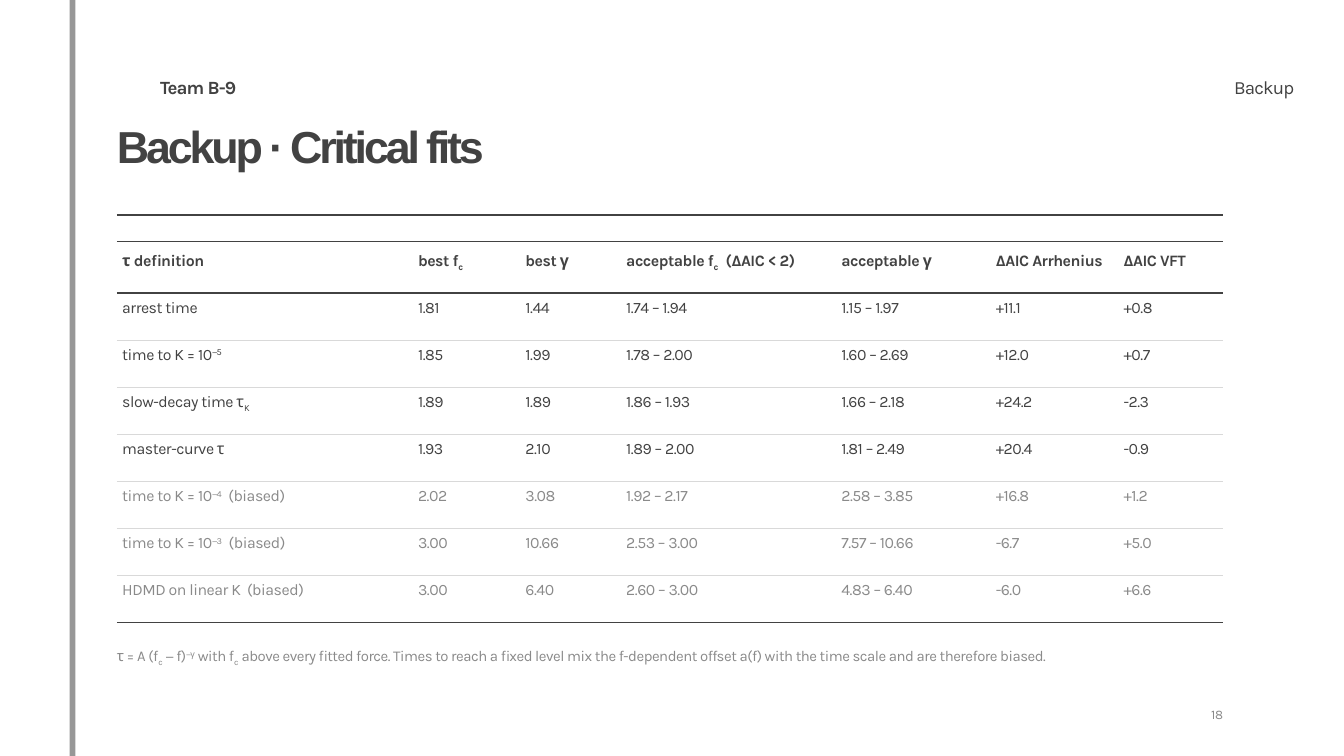
from itertools import accumulate

from lxml.etree import SubElement
from pptx import Presentation
from pptx.dml.color import RGBColor
from pptx.enum.shapes import MSO_CONNECTOR
from pptx.enum.text import MSO_ANCHOR, MSO_AUTO_SIZE, PP_ALIGN
from pptx.oxml.ns import qn
from pptx.util import Cm, Pt

INK = RGBColor(0x42, 0x42, 0x42)
MUTED = RGBColor(0x8A, 0x8A, 0x8A)
HAIRLINE = RGBColor(0xD9, 0xD9, 0xD9)

LEFT = 4.42
TABLE_TOP = 9.14
BASELINES = {"_": "-25000", "^": "30000"}

RUNNING = {"name": "Karla", "size": Pt(20), "bold": False, "color": INK, "tracking": -90}
TEAM = RUNNING | {"bold": True}
TITLE = {"name": "Arial", "size": Pt(48), "bold": True, "color": INK, "tracking": -336}
CELL = {"name": "Karla", "size": Pt(17), "bold": False, "color": INK, "tracking": -51}
HEADER = CELL | {"bold": True}
BIASED = CELL | {"color": MUTED}
NOTE = BIASED | {"size": Pt(16), "tracking": -48}
NUMBER = BIASED | {"size": Pt(14), "tracking": -42}

COLUMN_WIDTHS = [11.18, 4.06, 3.81, 8.13, 5.84, 4.83, 3.94]
HEADINGS = ["τ definition", "best f|_c", "best γ", "acceptable f|_c|  (ΔAIC < 2)",
            "acceptable γ", "ΔAIC Arrhenius", "ΔAIC VFT"]
SOUND_FITS = [
    ["arrest time", "1.81", "1.44", "1.74 – 1.94", "1.15 – 1.97", "+11.1", "+0.8"],
    ["time to K = 10|^−5", "1.85", "1.99", "1.78 – 2.00", "1.60 – 2.69", "+12.0", "+0.7"],
    ["slow-decay time τ|_K", "1.89", "1.89", "1.86 – 1.93", "1.66 – 2.18", "+24.2", "-2.3"],
    ["master-curve τ", "1.93", "2.10", "1.89 – 2.00", "1.81 – 2.49", "+20.4", "-0.9"],
]
BIASED_FITS = [
    ["time to K = 10|^−4|  (biased)", "2.02", "3.08", "1.92 – 2.17", "2.58 – 3.85", "+16.8", "+1.2"],
    ["time to K = 10|^−3|  (biased)", "3.00", "10.66", "2.53 – 3.00", "7.57 – 10.66", "-6.7", "+5.0"],
    ["HDMD on linear K  (biased)", "3.00", "6.40", "2.60 – 3.00", "4.83 – 6.40", "-6.0", "+6.6"],
]
FOOTNOTE = ("τ = A (f|_c| − f)|^−γ| with f|_c| above every fitted force. Times to reach a fixed level "
            "mix the f-dependent offset a(f) with the time scale and are therefore biased.")


def apply_font(run, look):
    """Set the font attributes of a run from its look."""
    for attribute, value in look.items():
        if attribute == "color":
            run.font.color.rgb = value
        elif attribute == "tracking":
            run.font._element.set("spc", str(value))
        else:
            setattr(run.font, attribute, value)


def write(frame, marked, look, spacing, align=PP_ALIGN.LEFT):
    """Write marked text, where |_ opens a subscript and |^ a superscript."""
    line = frame.paragraphs[0]
    line.alignment = align
    line.line_spacing = spacing
    for part in marked.split("|"):
        shift = BASELINES.get(part[0])
        run = line.add_run()
        run.text = part[1:] if shift else part
        apply_font(run, look)
        if shift:
            run.font._element.set("baseline", shift)


def set_frame(frame):
    """Give a text frame no margins, wrapping and a top anchor."""
    settings = {"margin_left": 0, "margin_right": 0, "margin_top": 0, "margin_bottom": 0,
                "word_wrap": True, "auto_size": MSO_AUTO_SIZE.NONE,
                "vertical_anchor": MSO_ANCHOR.TOP}
    for attribute, value in settings.items():
        setattr(frame, attribute, value)


def add_label(slide, box, marked, look, spacing, align=PP_ALIGN.LEFT):
    """Add a text box at left, top, width and height in centimetres."""
    frame = slide.shapes.add_textbox(*map(Cm, box)).text_frame
    set_frame(frame)
    write(frame, marked, look, spacing, align)


def fill_title(slide, text):
    """Place and fill the title placeholder."""
    title = slide.shapes.title
    place = {"left": LEFT, "top": 4.7, "width": 41.66, "height": 3.05}
    for attribute, value in place.items():
        setattr(title, attribute, Cm(value))
    set_frame(title.text_frame)
    write(title.text_frame, text, TITLE, 0.9)


def add_rule(slide, ends, color, weight, opacity=100):
    """Add a straight line between two points in centimetres."""
    rule = slide.shapes.add_connector(MSO_CONNECTOR.STRAIGHT, *map(Cm, ends))
    rule.line.color.rgb = color
    rule.line.width = Pt(weight)
    if opacity < 100:
        tint = next(rule._element.spPr.iter(qn("a:srgbClr")))
        SubElement(tint, qn("a:alpha"), val=str(opacity * 1000))
    SubElement(rule._element.spPr, qn("a:effectLst"))


def format_cell(cell, top_margin):
    """Give a cell its margins, no borders and no fill."""
    margins = {"margin_left": 0.2, "margin_right": 0.2, "margin_top": top_margin, "margin_bottom": 0}
    for attribute, value in margins.items():
        setattr(cell, attribute, Cm(value))
    for side in "LRTB":
        border = SubElement(cell._tc.get_or_add_tcPr(), qn(f"a:ln{side}"), w="0")
        SubElement(border, qn("a:noFill"))
    cell.fill.background()


def add_fit_table(slide):
    """Add the table of critical fits with a rule above and below each row."""
    rows = [(HEADINGS, HEADER)]
    rows += [(fit, CELL) for fit in SOUND_FITS] + [(fit, BIASED) for fit in BIASED_FITS]
    heights = [1.93] + [1.78] * (len(rows) - 1)
    width = sum(COLUMN_WIDTHS)
    table = slide.shapes.add_table(len(rows), len(HEADINGS), Cm(LEFT), Cm(TABLE_TOP),
                                   Cm(width), Cm(sum(heights))).table
    table.first_row = table.horz_banding = False
    for column, column_width in zip(table.columns, COLUMN_WIDTHS):
        column.width = Cm(column_width)
    for index, (texts, look) in enumerate(rows):
        table.rows[index].height = Cm(heights[index])
        for cell, text in zip(table.rows[index].cells, texts):
            format_cell(cell, 0.16 if index else 0.32)
            write(cell.text_frame, text, look, 1.1)
    strong, thin = (INK, 1.5), (HAIRLINE, 0.6)
    pens = [strong, strong] + [thin] * (len(rows) - 2) + [strong]
    for level, pen in zip(accumulate(heights, initial=TABLE_TOP), pens):
        add_rule(slide, (LEFT, level, LEFT + width, level), *pen)


def main():
    """Build the backup slide and save it."""
    deck = Presentation()
    deck.slide_width, deck.slide_height = Cm(50.8), Cm(28.58)
    slide = deck.slides.add_slide(deck.slide_layouts[5])
    add_rule(slide, (2.74, 0, 2.74, 28.58), INK, 6, 55)
    add_label(slide, (6.05, 2.72, 10.03, 0.97), "Team B-9", TEAM, Pt(28))
    add_label(slide, (36.65, 2.72, 12.27, 0.97), "Backup", RUNNING, Pt(28), PP_ALIGN.RIGHT)
    add_label(slide, (43.69, 26.55, 2.54, 0.89), "18", NUMBER, 1.25, PP_ALIGN.RIGHT)
    fill_title(slide, "Backup · Critical fits")
    add_rule(slide, (LEFT, 8.13, 46.23, 8.13), INK, 1.5)
    add_fit_table(slide)
    add_label(slide, (LEFT, 24.26, 41.66, 2.03), FOOTNOTE, NOTE, 1.25)
    deck.save("out.pptx")


if __name__ == "__main__":
    main()
